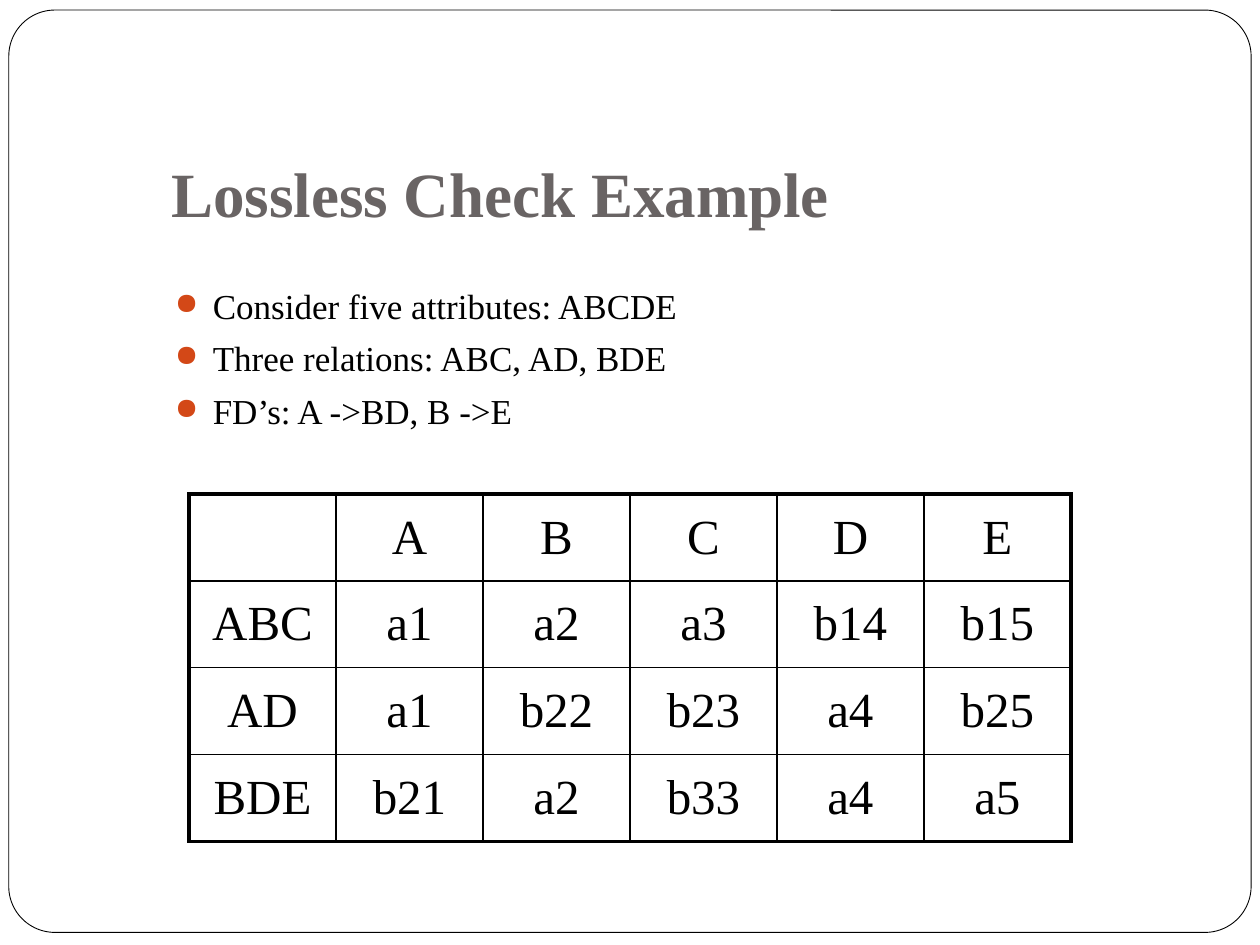
from lxml import etree
from pptx import Presentation
from pptx import util as u
from pptx.dml.color import RGBColor
from pptx.enum import shapes, text
from pptx.oxml import ns

BLACK = RGBColor(0x00, 0x00, 0x00)
WHITE = RGBColor(0xFF, 0xFF, 0xFF)
GREY = RGBColor(0x69, 0x64, 0x64)
ORANGE = RGBColor(0xD3, 0x48, 0x17)
FONT = "Times New Roman"
THIN, THICK = u.Pt(1), u.Pt(2.25)

BULLETS = [
    "Consider five attributes: ABCDE",
    "Three relations: ABC, AD, BDE",
    "FD’s: A ->BD, B ->E",
]
MATRIX = [
    ["", "A", "B", "C", "D", "E"],
    ["ABC", "a1", "a2", "a3", "b14", "b15"],
    ["AD", "a1", "b22", "b23", "a4", "b25"],
    ["BDE", "b21", "a2", "b33", "a4", "a5"],
]


def inches(*lengths):
    return [u.Inches(length) for length in lengths]


def add_element(parent, tag, **attributes):
    element = etree.SubElement(parent, ns.qn(tag))
    for name, value in attributes.items():
        element.set(name, str(value))
    return element


def set_font(paragraph, size, color, bold=False):
    font = paragraph.font
    font.name, font.size, font.bold = FONT, u.Pt(size), bold
    font.color.rgb = color


def add_frame(slide, box):
    frame = slide.shapes.add_shape(shapes.MSO_SHAPE.ROUNDED_RECTANGLE, *box)
    frame.adjustments[0] = 0.05
    frame.shadow.inherit = False
    frame.fill.solid()
    frame.fill.fore_color.rgb = WHITE
    frame.line.color.rgb = BLACK
    frame.line.width = u.Pt(0.5)
    slide.shapes.title.element.addprevious(frame.element)


def place_title(slide, box, wording):
    title = slide.shapes.title
    title.left, title.top, title.width, title.height = box
    text_frame = title.text_frame
    text_frame.text = wording
    text_frame.auto_size = text.MSO_AUTO_SIZE.NONE
    text_frame.vertical_anchor = text.MSO_ANCHOR.BOTTOM
    text_frame.margin_bottom = u.Inches(0.1)
    paragraph = text_frame.paragraphs[0]
    paragraph.alignment = text.PP_ALIGN.LEFT
    set_font(paragraph, 36, GREY, bold=True)


def add_bullets(slide, box, items):
    text_frame = slide.shapes.add_textbox(*box).text_frame
    text_frame.word_wrap = True
    text_frame.text = "\n".join(items)
    for index, paragraph in enumerate(text_frame.paragraphs):
        properties = paragraph._p.get_or_add_pPr()
        properties.set("marL", str(u.Inches(0.3)))
        properties.set("indent", str(u.Inches(-0.3)))
        paragraph.space_before = u.Pt(5.8 if index else 0)
        add_element(add_element(properties, "a:buClr"), "a:srgbClr", val=ORANGE)
        add_element(properties, "a:buSzPct", val=85000)
        add_element(properties, "a:buChar", char="●")
        set_font(paragraph, 20, BLACK)


def set_borders(cell, widths):
    properties = cell._tc.get_or_add_tcPr()
    for side, width in widths.items():
        line = add_element(properties, f"a:ln{side}", w=int(width))
        add_element(add_element(line, "a:solidFill"), "a:srgbClr", val=BLACK)


def add_matrix(slide, box, rows):
    last_row, last_column = len(rows) - 1, len(rows[0]) - 1
    table = slide.shapes.add_table(len(rows), len(rows[0]), *box).table
    table.first_row = table.horz_banding = False
    for i, row in enumerate(rows):
        for j, value in enumerate(row):
            cell = table.cell(i, j)
            cell.text = value
            cell.vertical_anchor = text.MSO_ANCHOR.MIDDLE
            set_borders(cell, {
                "L": THICK if j == 0 else THIN,
                "R": THICK if j == last_column else THIN,
                "T": THICK if i == 0 else THIN,
                "B": THICK if i == last_row else THIN,
            })
            cell.fill.background()
            paragraph = cell.text_frame.paragraphs[0]
            paragraph.alignment = text.PP_ALIGN.CENTER
            set_font(paragraph, 28, BLACK)


def main():
    presentation = Presentation()
    presentation.slide_width, presentation.slide_height = inches(10, 7.5)
    slide = presentation.slides.add_slide(presentation.slide_layouts[5])
    add_frame(slide, inches(0.07, 0.08, 9.86, 7.32))
    place_title(slide, inches(1.26, 0.68, 8.52, 1.25), "Lossless Check Example")
    add_bullets(slide, inches(1.29, 2.21, 7.62, 1.38), BULLETS)
    add_matrix(slide, inches(1.5, 3.92, 7, 2.76), MATRIX)
    presentation.save("out.pptx")


if __name__ == "__main__":
    main()
